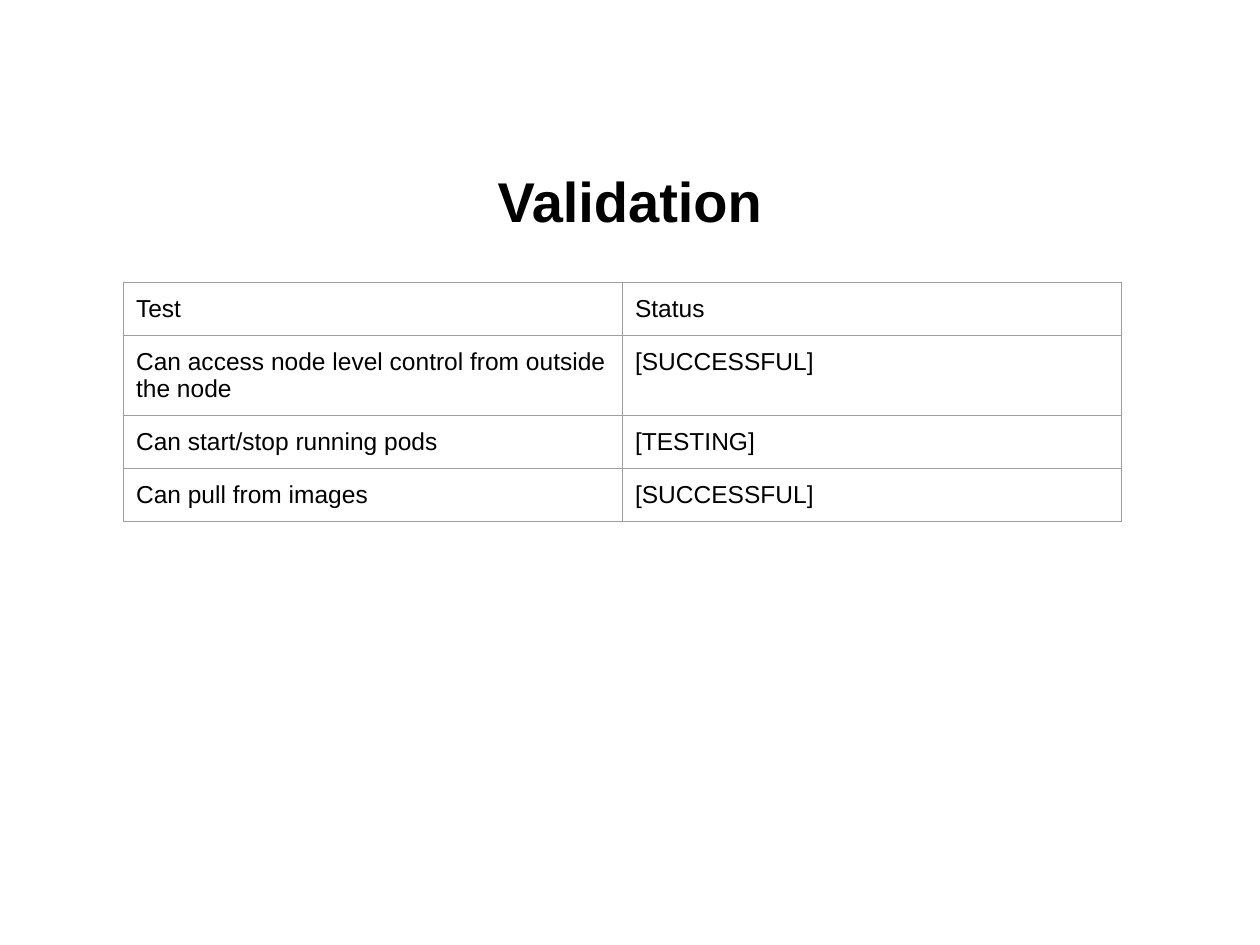
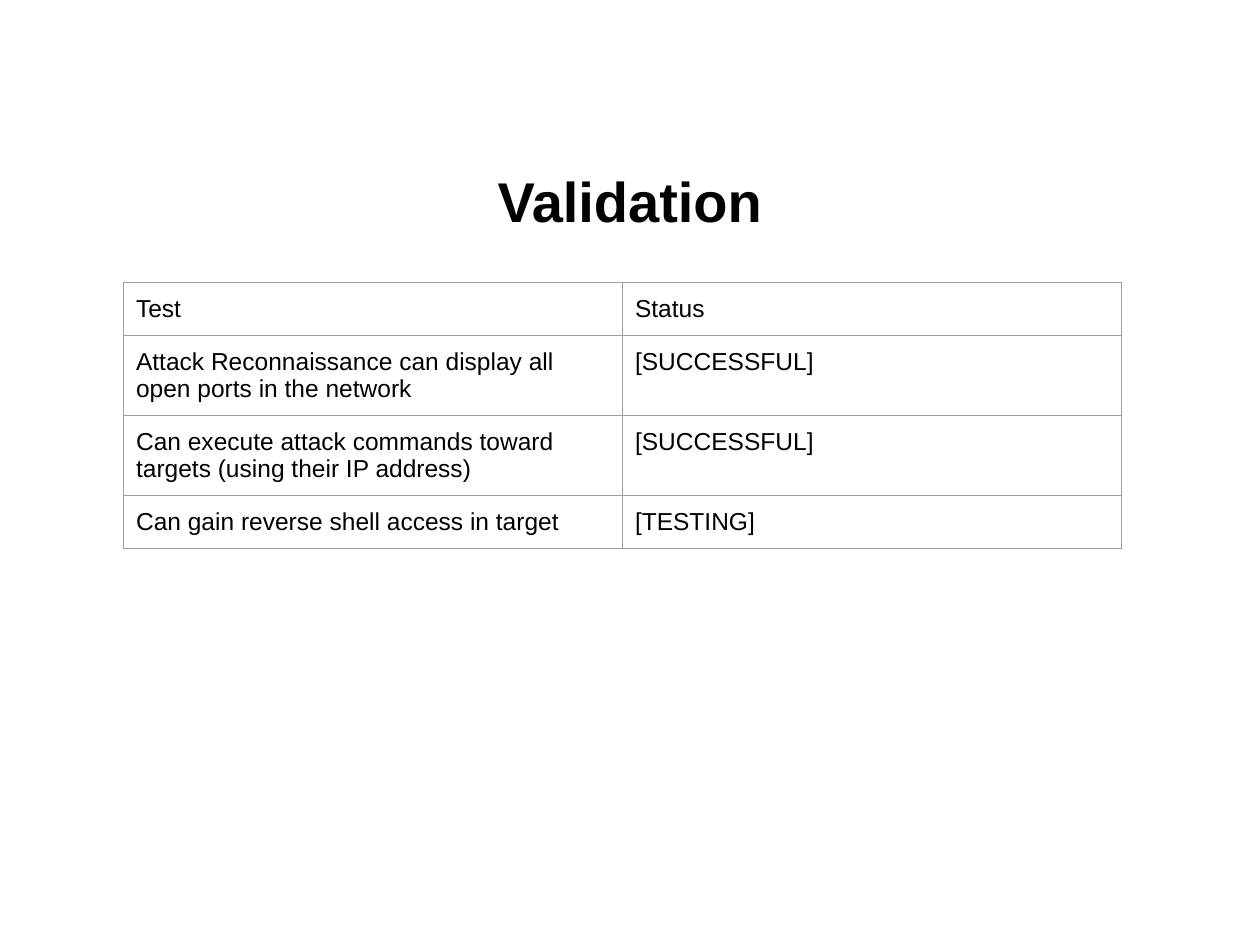
from lxml import etree
from pptx import Presentation
from pptx.dml.color import RGBColor
from pptx.enum.text import MSO_ANCHOR, PP_ALIGN
from pptx.oxml.ns import qn
from pptx.util import Pt

MIDDLE = MSO_ANCHOR.MIDDLE
CENTER = PP_ALIGN.CENTER
TITLE_ONLY = 5

COLORS = {"text": "000000", "border": "9E9E9E", "page": "FFFFFF"}
FONT = "Arial"
PAGE_SIZE = (720, 540)
TITLE_BOX = (36, 82.8, 648, 63.36)
TABLE_BOX = (70.56, 161.28, 570.24, 120.96)
CELL_INSET = 7.2
BORDER_WIDTH = 0.75

HEADINGS = ("Test", "Status")
VALIDATION_PAGES = [
    [
        ("Can access node level control from outside the node", "[SUCCESSFUL]"),
        ("Can start/stop running pods", "[TESTING]"),
        ("Can pull from images", "[SUCCESSFUL]"),
    ],
    [
        ("Attack Reconnaissance can display all open ports in the network", "[SUCCESSFUL]"),
        ("Can execute attack commands toward targets (using their IP address)", "[SUCCESSFUL]"),
        ("Can gain reverse shell access in target", "[TESTING]"),
    ],
]


def style_paragraph(para, size, bold=False):
    """Set the shared font and text colour on a paragraph."""
    para.font.name = FONT
    para.font.size = Pt(size)
    para.font.bold = bold
    para.font.color.rgb = RGBColor.from_string(COLORS["text"])


def add_title(page, box, text):
    """Place and format the title placeholder in the given box."""
    title = page.shapes.title
    title.left, title.top, title.width, title.height = map(Pt, box)
    frame = title.text_frame
    frame.text = text
    frame.vertical_anchor = MIDDLE
    para = frame.paragraphs[0]
    para.alignment = CENTER
    style_paragraph(para, 32, bold=True)


def add_borders(cell):
    """Draw a thin line on all four sides of a cell."""
    properties = cell._tc.get_or_add_tcPr()
    for side in ("lnL", "lnR", "lnT", "lnB"):
        line = etree.SubElement(properties, qn(f"a:{side}"), w=str(Pt(BORDER_WIDTH)))
        fill = etree.SubElement(line, qn("a:solidFill"))
        etree.SubElement(fill, qn("a:srgbClr"), val=COLORS["border"])


def fill_cell(cell, text):
    """Write one table cell with its insets, borders and font."""
    cell.text = text
    cell.margin_left = cell.margin_right = Pt(CELL_INSET)
    cell.margin_top = cell.margin_bottom = Pt(CELL_INSET)
    add_borders(cell)
    cell.fill.background()
    style_paragraph(cell.text_frame.paragraphs[0], 14)


def add_status_table(page, box, rows):
    """Add a plain table of tests and their status in the given box."""
    table = page.shapes.add_table(len(rows), len(rows[0]), *map(Pt, box)).table
    table.first_row = False
    table.horz_banding = False
    for row, texts in zip(table.rows, rows):
        for cell, text in zip(row.cells, texts):
            fill_cell(cell, text)


def add_validation_page(deck, tests):
    """Add one page with the title and the table of tests."""
    page = deck.slides.add_slide(deck.slide_layouts[TITLE_ONLY])
    background = page.background.fill
    background.solid()
    background.fore_color.rgb = RGBColor.from_string(COLORS["page"])
    add_title(page, TITLE_BOX, "Validation")
    add_status_table(page, TABLE_BOX, [HEADINGS, *tests])


def main():
    """Build and save the deck."""
    deck = Presentation()
    deck.slide_width, deck.slide_height = map(Pt, PAGE_SIZE)
    for tests in VALIDATION_PAGES:
        add_validation_page(deck, tests)
    deck.save("out.pptx")


if __name__ == "__main__":
    main()
